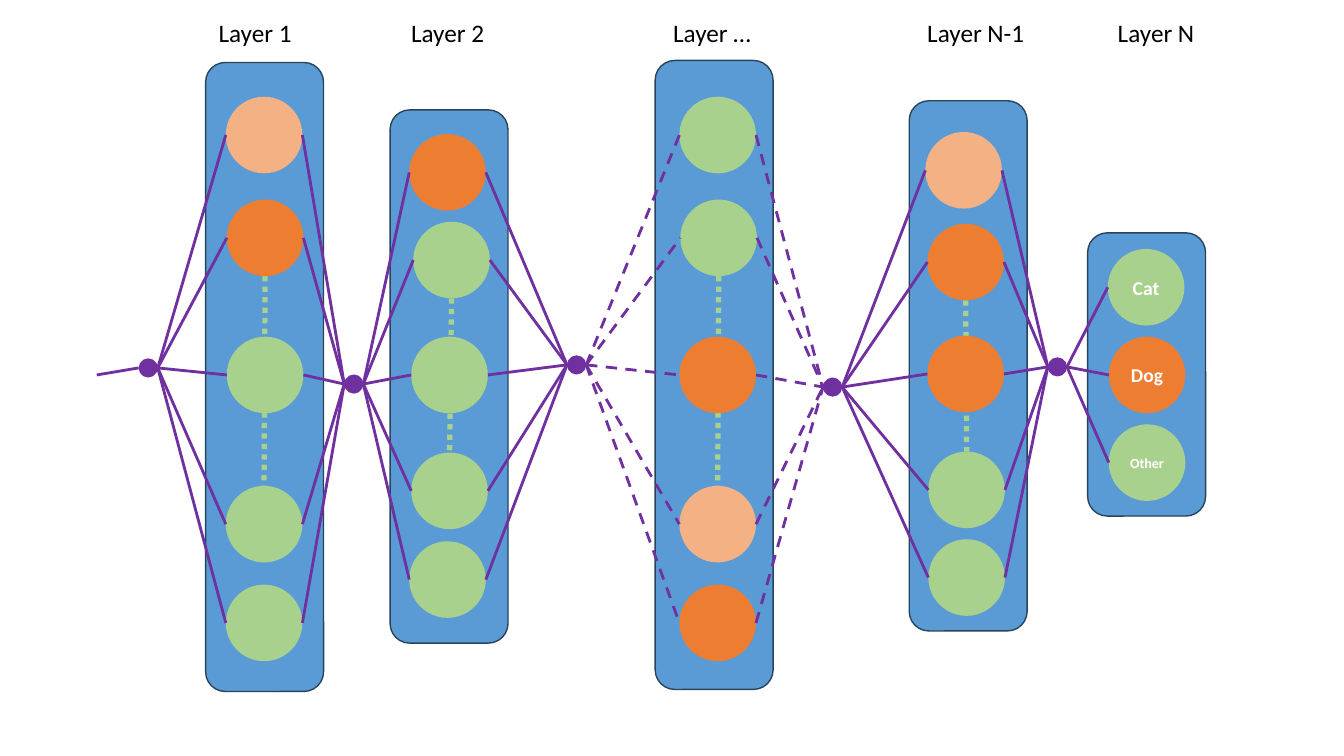
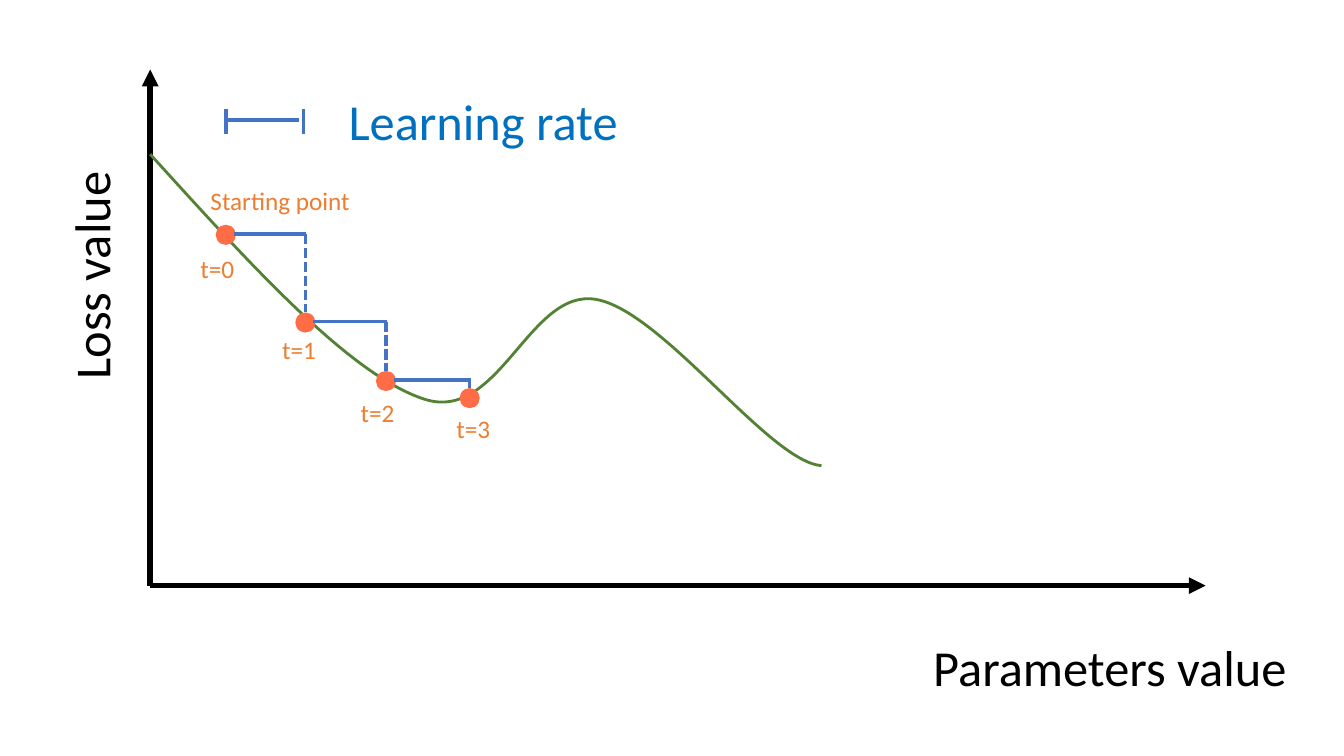
"""Draw a layered network and a descent along a loss curve on a grid of tenth-inch cells."""
from itertools import pairwise

from lxml.etree import SubElement
from pptx import Presentation
from pptx.dml.color import RGBColor
from pptx.enum.dml import MSO_LINE
from pptx.enum.shapes import MSO_CONNECTOR, MSO_SHAPE
from pptx.enum.text import MSO_ANCHOR, MSO_AUTO_SIZE, PP_ALIGN
from pptx.oxml.ns import qn
from pptx.util import Inches, Pt

COLS, ROWS = 133.33, 75
FONT = "Calibri"
BLACK = RGBColor(0x00, 0x00, 0x00)
WHITE = RGBColor(0xFF, 0xFF, 0xFF)
BLUE = RGBColor(0x5B, 0x9B, 0xD5)
NAVY = RGBColor(0x28, 0x44, 0x5D)
PEACH = RGBColor(0xF4, 0xB1, 0x83)
ORANGE = RGBColor(0xED, 0x7D, 0x31)
GREEN = RGBColor(0xA9, 0xD1, 0x8E)
PURPLE = RGBColor(0x70, 0x30, 0xA0)
MOSS = RGBColor(0x54, 0x82, 0x35)
CORAL = RGBColor(0xFF, 0x6C, 0x45)
COBALT = RGBColor(0x44, 0x72, 0xC4)
AZURE = RGBColor(0x00, 0x70, 0xC0)

PANEL, NODE, HUB, DOT = 11.7, 7.6, 1.9, 2
BARE = dict.fromkeys(
    ("margin_left", "margin_right", "margin_top", "margin_bottom"), 0)
GROW = {"auto_size": MSO_AUTO_SIZE.SHAPE_TO_FIT_TEXT}
INNER = BARE | {"word_wrap": False, "vertical_anchor": MSO_ANCHOR.MIDDLE}

# name, (label left, width), (panel left, top, height), dashed, nodes (left, middle, fill)
LAYERS = [
    ("Layer 1", (20.7, 9.4), (20.4, 6.2, 62.4), None,
     [(22.4, 13.4, PEACH), (22.5, 23.6, ORANGE), (22.5, 37.2, GREEN),
      (22.4, 52, GREEN), (22.4, 61.8, GREEN)]),
    ("Layer 2", (39.8, 9.4), (38.7, 10.9, 52.9), None,
     [(40.6, 17.1, ORANGE), (41, 25.8, GREEN), (40.8, 37.2, GREEN),
      (40.8, 48.7, GREEN), (40.6, 57.5, GREEN)]),
    ("Layer …", (65.8, 10), (65, 6, 62.4), MSO_LINE.DASH,
     [(67.4, 13.4, GREEN), (67.5, 23.6, GREEN), (67.4, 37.2, ORANGE),
      (67.4, 52, PEACH), (67.4, 61.8, ORANGE)]),
    ("Layer N-1", (91, 11.8), (90.2, 10, 52.6), None,
     [(91.8, 16.9, PEACH), (92, 26, ORANGE), (92, 37.1, ORANGE),
      (92.1, 48.6, GREEN), (92.1, 57.3, GREEN)]),
    ("Layer N", (109.9, 9.7), (107.9, 23.1, 28.1), None,
     [(109.9, 28.5, GREEN), (110, 37.2, ORANGE), (110, 45.9, GREEN)]),
]
HUBS = [(14.7, 36.5), (35.1, 38.1), (57.2, 36.2), (82.6, 38.4), (104.9, 36.4)]
RESULTS = [("Cat", 14), ("Dog", 14), ("Other", 10)]

ORIGIN = (14.9, 58.1)
START = (14.9, 15.3)
CURVES = [
    ((24.8, 26.2), (34.7, 37.2), (42.1, 39.6)),
    ((49.5, 42), (52.5, 28.6), (59.1, 29.7)),
    ((65.7, 30.8), (76.3, 45.8), (81.5, 46.2)),
]
STEPS = [(22.4, 23.3), (30.3, 32), (38.3, 37.8), (46.6, 39.5)]
TIMES = [(18.9, 24.6), (27, 32.7), (34.8, 38.9), (44.3, 40.5)]


def cells(*nums):
    """Turn grid cells into slide lengths."""
    return [Inches(num / 10) for num in nums]


def style(item, form):
    """Set each attribute named in a dict of format values."""
    for key, val in form.items():
        setattr(item, key, val)


def write(frame, text, size, color, bold=False, align=None):
    """Put one formatted line of text into a frame."""
    para = frame.paragraphs[0]
    para.alignment = align
    run = para.add_run()
    run.text = text
    style(run.font, {"name": FONT, "size": Pt(size), "bold": bold})
    run.font.color.rgb = color


def label(slide, text, box, size=18, color=BLACK, wrap=False, turn=0):
    """Add a text box that grows with its text."""
    item = slide.shapes.add_textbox(*cells(*box))
    item.rotation = turn
    style(item.text_frame, GROW | {"word_wrap": wrap})
    write(item.text_frame, text, size, color)


def solid(slide, kind, box, fill, edge=None):
    """Add a flat filled shape, outlined if an edge colour is given."""
    item = slide.shapes.add_shape(kind, *cells(*box))
    item.shadow.inherit = False
    item.fill.solid()
    item.fill.fore_color.rgb = fill
    if edge is None:
        item.line.fill.background()
    else:
        item.line.color.rgb = edge
        item.line.width = Pt(1)
    return item


def disc(slide, mid, size, fill):
    """Add a circle around a middle point."""
    x, y = mid
    box = (x - size / 2, y - size / 2, size, size)
    return solid(slide, MSO_SHAPE.OVAL, box, fill)


def link(slide, start, end, color, width, dash=None, arrow=False):
    """Add a straight line, dashed or with an arrowhead on request."""
    item = slide.shapes.add_connector(
        MSO_CONNECTOR.STRAIGHT, *cells(*start, *end))
    item.line.color.rgb = color
    style(item.line, {"width": Pt(width), "dash_style": dash})
    props = item.element.spPr
    if arrow:
        SubElement(props.find(qn("a:ln")), qn("a:tailEnd"), type="triangle")
    SubElement(props, qn("a:effectLst"))


def bend(slide, start, curves, color, width):
    """Add an open outline of cubic curves."""
    pen = slide.shapes.build_freeform(*cells(*start))
    pen.add_line_segments([cells(*ends[-1]) for ends in curves], close=False)
    item = pen.convert_to_shape()
    item.shadow.inherit = False
    item.fill.background()
    item.line.color.rgb = color
    item.line.width = Pt(width)
    parts = list(item.element.iter(qn("a:lnTo")))
    for part, ends in zip(parts, curves):
        part.tag = qn("a:cubicBezTo")
        for spot, point in enumerate(ends[:-1]):
            x, y = cells(*point)
            knob = SubElement(part, qn("a:pt"),
                              x=str(x - item.left), y=str(y - item.top))
            part.insert(spot, knob)


def layer(slide, name, place, panel, nodes):
    """Add a named panel with its column of nodes."""
    left, top, high = panel
    label(slide, name, (place[0], 1.2, place[1], 4))
    solid(slide, MSO_SHAPE.ROUNDED_RECTANGLE, (left, top, PANEL, high),
          BLUE, NAVY)
    half = NODE / 2
    if len(nodes) > 3:
        (ax, ay, _), (bx, by, _) = nodes[1], nodes[3]
        link(slide, (ax + half, ay + half), (bx + half, by - half),
             GREEN, 3.75, MSO_LINE.ROUND_DOT)
    return [disc(slide, (x + half, y), NODE, fill) for x, y, fill in nodes]


def network(slide):
    """Draw the layers and the links that meet at hubs between them."""
    for name, place, panel, _, nodes in LAYERS:
        discs = layer(slide, name, place, panel, nodes)
    for item, (word, size) in zip(discs, RESULTS):
        style(item.text_frame, INNER)
        write(item.text_frame, word, size, WHITE, True, PP_ALIGN.CENTER)
    for hub in HUBS:
        disc(slide, hub, HUB, PURPLE)
    link(slide, (9.6, 37.2), (HUBS[0][0] - HUB / 2, HUBS[0][1]), PURPLE, 2)
    for (x, y), (*_, dash, nodes) in zip(HUBS, LAYERS):
        for left, mid, _ in nodes:
            link(slide, (x + HUB / 2, y), (left, mid), PURPLE, 2, dash)
    for (x, y), (*_, dash, nodes) in zip(HUBS[1:], LAYERS):
        for left, mid, _ in nodes:
            link(slide, (left + NODE, mid), (x - HUB / 2, y), PURPLE, 2, dash)


def descent(slide):
    """Draw the loss curve and the steps taken down it."""
    for end in ((ORIGIN[0], 6.9), (119.6, ORIGIN[1])):
        link(slide, ORIGIN, end, BLACK, 4, arrow=True)
    label(slide, "Loss value", (-2.4, 23.7, 22.8, 7.1), 36, turn=270)
    label(slide, "Parameters value", (91.6, 62.6, 37.4, 7.1), 36)
    label(slide, "Learning rate", (33.6, 8.4, 29, 7.1), 36, AZURE)
    bend(slide, START, CURVES, MOSS, 2)
    for step in STEPS:
        disc(slide, step, DOT, CORAL)
    for (x, y), (nx, ny) in pairwise(STEPS):
        tread = y - 0.1
        link(slide, (x + 0.8, tread), (nx + 0.1, tread), COBALT, 2.5)
        link(slide, (nx, tread), (nx, ny - DOT / 2), COBALT, 2.5,
             MSO_LINE.SQUARE_DOT)
    link(slide, (22.4, 11.9), (29.7, 11.9), COBALT, 2.5)
    for x in (22.4, 30.1):
        link(slide, (x, 13.3), (x, 10.8), COBALT, 2.5)
    label(slide, "Starting point", (19.9, 17.9, 16, 4), color=ORANGE)
    for time, (x, y) in enumerate(TIMES):
        label(slide, f"t={time}", (x, y, 6.5, 4), color=ORANGE, wrap=True)


def main():
    """Build both slides and save them."""
    deck = Presentation()
    deck.slide_width, deck.slide_height = cells(COLS, ROWS)
    for draw in (network, descent):
        draw(deck.slides.add_slide(deck.slide_layouts[6]))
    deck.save("out.pptx")


if __name__ == "__main__":
    main()
